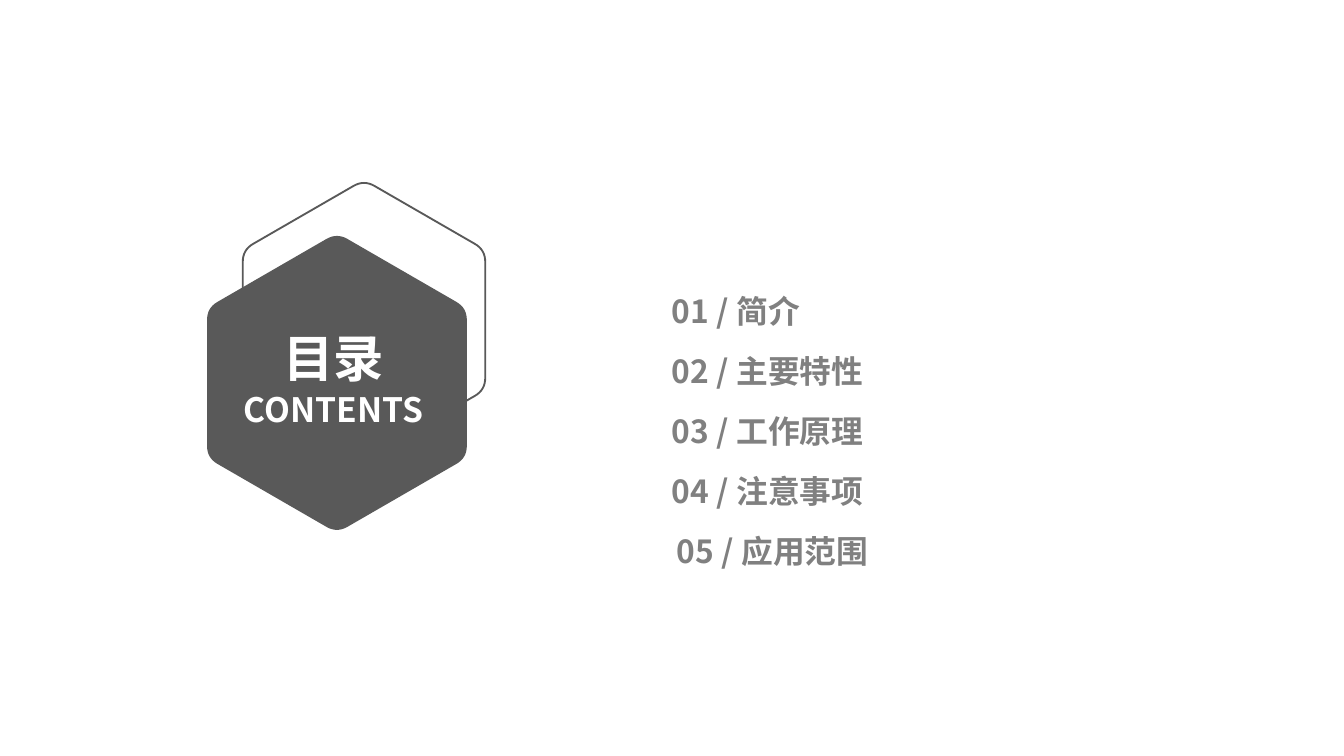
import math

import pptx
import pptx.dml.color
import pptx.enum.text
import pptx.oxml.ns
import pptx.util
import lxml.etree

PX = 914400 / 134.4
FONT = "Noto Sans CJK SC"
COLORS = {"dark": "595959", "item": "808080", "light": "FFFFFF"}
RGB = {name: pptx.dml.color.RGBColor.from_string(value) for name, value in COLORS.items()}
CORNER_CUT = 12
CORNER_STEPS = 8


def add_hexagon(page, center_x, center_y, radius):
    corners = []
    for i in range(6):
        angle = math.radians(60 * i)
        corners.append((center_x + radius * math.sin(angle), center_y - radius * math.cos(angle)))

    share = CORNER_CUT / radius
    points = []
    for i, corner in enumerate(corners):
        previous, following = corners[i - 1], corners[(i + 1) % 6]
        for step in range(CORNER_STEPS + 1):
            t = step / CORNER_STEPS
            toward_previous = share * (1 - t) ** 2
            toward_following = share * t ** 2
            points.append([
                PX * (c + toward_previous * (p - c) + toward_following * (f - c))
                for c, p, f in zip(corner, previous, following)
            ])

    builder = page.shapes.build_freeform(*points[0])
    builder.add_line_segments(points[1:], close=True)
    hexagon = builder.convert_to_shape()
    hexagon.shadow.inherit = False
    return hexagon


def format_text(box, place, color, align, sizes_and_spacings):
    box.left, box.top, box.width, box.height = (round(length * PX) for length in place)
    frame = box.text_frame
    frame.word_wrap = True
    frame.auto_size = pptx.enum.text.MSO_AUTO_SIZE.NONE
    frame.vertical_anchor = pptx.enum.text.MSO_ANCHOR.TOP
    frame.margin_left = frame.margin_right = round(10 * PX)
    frame.margin_top = frame.margin_bottom = round(5 * PX)
    for para, (size, spacing) in zip(frame.paragraphs, sizes_and_spacings):
        para.alignment = align
        para.line_spacing = pptx.util.Pt(spacing)
        para.space_before = pptx.util.Pt(0)
        para.font.size = pptx.util.Pt(size)
        para.font.bold = True
        para.font.color.rgb = RGB[color]
        para.font.name = FONT
        east_asian = lxml.etree.SubElement(para.font._element, pptx.oxml.ns.qn("a:ea"))
        east_asian.set("typeface", FONT)


deck = pptx.Presentation()
deck.slide_width = round(1344 * PX)
deck.slide_height = round(756 * PX)
page = deck.slides.add_slide(deck.slide_layouts[5])

outline = add_hexagon(page, 364, 320, 140)
outline.fill.background()
outline.line.color.rgb = RGB["dark"]
outline.line.width = pptx.util.Pt(1)

badge = add_hexagon(page, 337, 383, 150)
badge.fill.solid()
badge.fill.fore_color.rgb = RGB["dark"]
badge.line.fill.background()

title = page.shapes.title
title.text_frame.text = "目录\nCONTENTS"
format_text(title, (211, 323, 245, 112), "light",
            pptx.enum.text.PP_ALIGN.CENTER, [(27, 32), (18, 22)])
badge.element.addnext(title.element)

FIRST_TOP = 286
PITCH = 60
items = [
    ("简介", 662, 438, 48),
    ("主要特性", 662, 360, 48),
    ("工作原理", 662, 400, 48),
    ("注意事项", 662, 380, 87),
    ("应用范围", 667, 380, 48),
]
for i, (name, left, width, height) in enumerate(items):
    box = page.shapes.add_textbox(0, 0, 0, 0)
    box.text_frame.text = f"{i + 1:02d} / {name}"
    format_text(box, (left, FIRST_TOP + PITCH * i, width, height), "item",
                pptx.enum.text.PP_ALIGN.LEFT, [(17, 21)])

deck.save("out.pptx")
